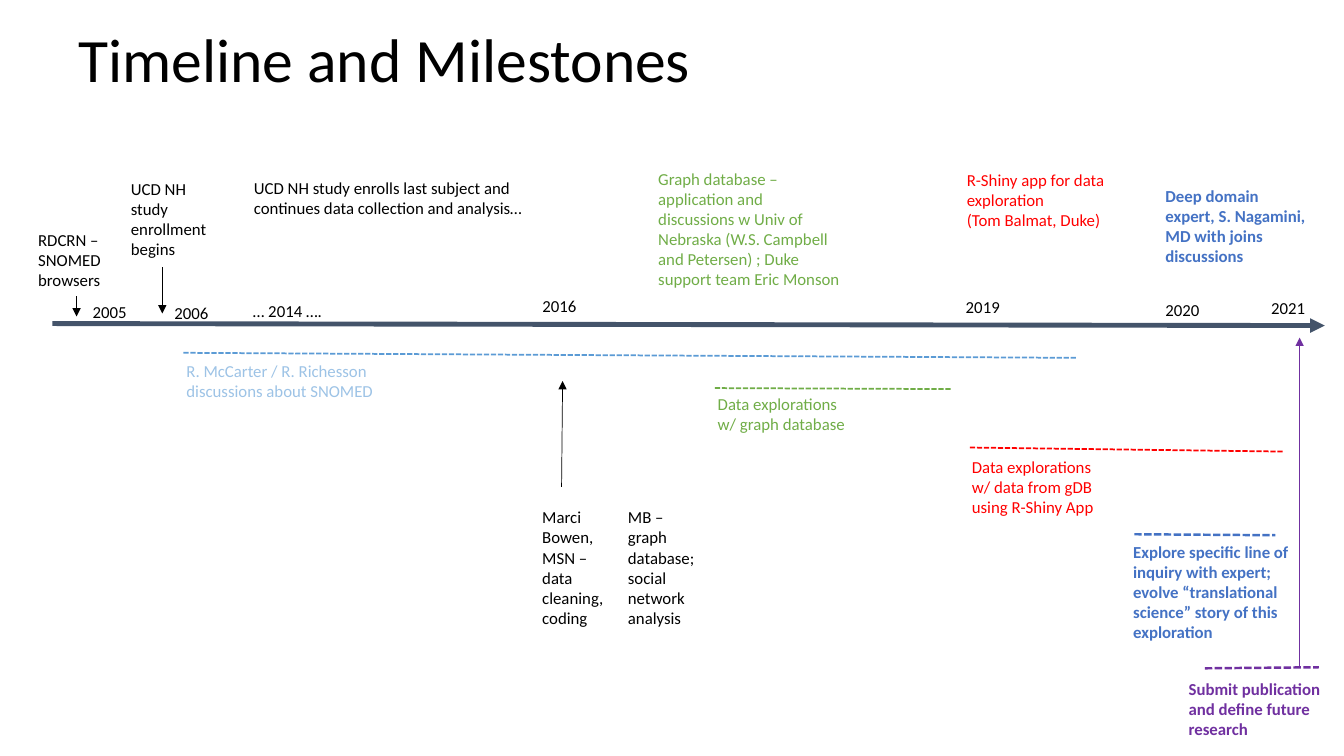
from collections import namedtuple

from lxml import etree
from pptx import Presentation
from pptx import util as u
from pptx.dml.color import RGBColor
from pptx.enum import dml, shapes, text
from pptx.oxml import ns

PX = 9144
FONT = "Calibri"
BLACK = RGBColor(0x00, 0x00, 0x00)
WHITE = RGBColor(0xFF, 0xFF, 0xFF)
SLATE = RGBColor(0x44, 0x54, 0x6A)
GREEN = RGBColor(0x70, 0xAD, 0x47)
SKY = RGBColor(0x5B, 0x9B, 0xD5)
PALE_SKY = RGBColor(0x9D, 0xC3, 0xE6)
RED = RGBColor(0xFF, 0x00, 0x00)
BLUE = RGBColor(0x44, 0x72, 0xC4)
PURPLE = RGBColor(0x70, 0x30, 0xA0)

Box = namedtuple("Box", "left top width height")


def place(box, left, top, width, height):
    return Box(box.left + left, box.top + top, width, height)


def add_text(slide, words, box, *, size=12, color=BLACK, bold=False,
             fill=None, anchor=text.MSO_ANCHOR.TOP, spacing=None, grow=True):
    lengths = [u.Emu(value * PX) for value in box]
    if fill is None:
        shape = slide.shapes.add_textbox(*lengths)
    else:
        shape = slide.shapes.add_shape(shapes.MSO_SHAPE.RECTANGLE, *lengths)
        shape.shadow.inherit = False
        shape.fill.solid()
        shape.fill.fore_color.rgb = fill
        shape.line.fill.background()
    frame = shape.text_frame
    frame.word_wrap = True
    frame.auto_size = (text.MSO_AUTO_SIZE.SHAPE_TO_FIT_TEXT if grow
                       else text.MSO_AUTO_SIZE.NONE)
    frame.vertical_anchor = anchor
    frame.text = words
    for paragraph in frame.paragraphs:
        paragraph.alignment = text.PP_ALIGN.LEFT
        paragraph.line_spacing = spacing
        for run in paragraph.runs:
            run.font.name = FONT
            run.font.size = u.Pt(size)
            run.font.bold = bold
            run.font.color.rgb = color


def add_line(slide, box, start, end, *, color=BLACK, weight=0.5,
             dashed=False, arrow=False):
    points = [u.Emu((origin + offset) * PX)
              for point in (start, end)
              for origin, offset in zip(box[:2], point)]
    line = slide.shapes.add_connector(shapes.MSO_CONNECTOR.STRAIGHT, *points)
    line.line.color.rgb = color
    line.line.width = u.Pt(weight)
    if dashed:
        line.line.dash_style = dml.MSO_LINE.SQUARE_DOT
    if arrow:
        outline = line.line._get_or_add_ln()
        etree.SubElement(outline, ns.qn("a:tailEnd"), type="triangle")
    etree.SubElement(line._element.spPr, ns.qn("a:effectLst"))


def draw_title(slide, box):
    add_text(slide, "Timeline and Milestones", box, size=44, spacing=0.9,
             anchor=text.MSO_ANCHOR.MIDDLE, grow=False)


def draw_axis(slide, box):
    add_line(slide, box, (0, 33), (box.width, 35),
             color=SLATE, weight=3.5, arrow=True)
    years = [("2005", 30, 6), ("2006", 111, 7), ("… 2014 ….", 189, 5),
             ("2016", 476, 0), ("2019", 896, 1), ("2020", 1094, 4),
             ("2021", 1199, 2)]
    for year, left, top in years:
        add_text(slide, year, place(box, left, top, 99, 30))


def draw_milestones(slide, box):
    milestones = [
        ("RDCRN – SNOMED browsers", (28, 61, 96, 71), BLACK, False),
        ("UCD NH study enrollment begins", (120, 10, 96, 91), BLACK, False),
        ("UCD NH study enrolls last subject and continues data collection "
         "and analysis…", (242, 9, 286, 71), BLACK, False),
        ("Graph database – application and discussions w Univ of Nebraska "
         "(W.S. Campbell and Petersen) ; Duke support team Eric Monson",
         (643, 0, 201, 131), GREEN, False),
        ("R-Shiny app for data exploration\n(Tom Balmat, Duke)",
         (949, 1, 165, 91), RED, False),
        ("Deep domain expert, S. Nagamini, MD with joins discussions",
         (1146, 17, 165, 111), BLUE, True),
    ]
    for words, spot, color, bold in milestones:
        add_text(slide, words, place(box, *spot), color=color, bold=bold)
    for across, start, end in [(76, 132, 152), (161, 103, 149)]:
        add_line(slide, box, (across, start), (across, end), arrow=True)


def draw_activities(slide, box):
    activities = [
        ("R. McCarter / R. Richesson discussions about SNOMED",
         (175, 18, 219, 50), PALE_SKY, False, None,
         (182, 15), (1067, 20), SKY, 1.25),
        ("Data explorations w/ graph database",
         (702, 51, 151, 50), GREEN, False, None,
         (709, 50), (943, 51), GREEN, 1.25),
        ("Data explorations w/ data from gDB using R-Shiny App",
         (954, 113, 151, 71), RED, False, None,
         (962, 109), (1273, 113), RED, 1.25),
        ("Explore specific line of inquiry with expert; evolve “translational "
         "science” story of this exploration",
         (1114, 197, 204, 111), BLUE, True, WHITE,
         (1125, 195), (1265, 196), BLUE, 1.75),
        ("Submit publication and define future research",
         (1169, 333, 165, 71), PURPLE, True, None,
         (1195, 328), (1308, 327), PURPLE, 1.75),
    ]
    for words, spot, color, bold, fill, start, end, dash, weight in activities:
        add_text(slide, words, place(box, *spot), color=color, bold=bold,
                 fill=fill)
        add_line(slide, box, start, end, color=dash, weight=weight,
                 dashed=True)
    add_line(slide, box, (1289, 327), (1289, 0), color=PURPLE, arrow=True)


def draw_contributors(slide, box):
    add_line(slide, box, (29, 105), (30, 0), arrow=True)
    roles = ["Marci Bowen, MSN – data cleaning, coding",
             "MB – graph database; social network analysis"]
    for index, words in enumerate(roles):
        add_text(slide, words, place(box, index * 85, 120, 96, 131))


def main():
    presentation = Presentation()
    presentation.slide_width = u.Emu(1333 * PX)
    presentation.slide_height = u.Emu(750 * PX)
    slide = presentation.slides.add_slide(presentation.slide_layouts[6])
    draw_axis(slide, Box(52, 288, 1262, 35))
    draw_milestones(slide, Box(0, 162, 1333, 152))
    draw_activities(slide, Box(0, 335, 1333, 415))
    draw_contributors(slide, Box(528, 378, 181, 251))
    draw_title(slide, Box(68, -10, 1150, 145))
    presentation.save("out.pptx")


if __name__ == "__main__":
    main()
